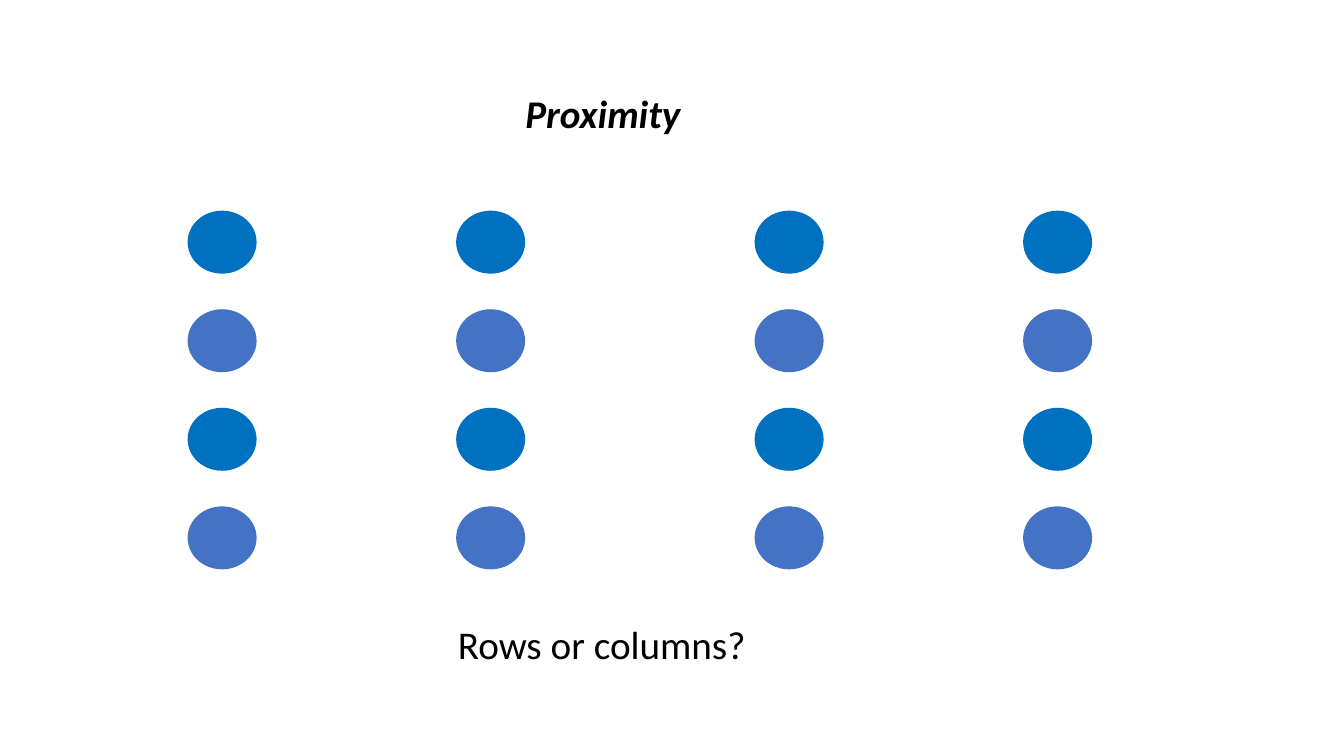
import pptx
import pptx.util
import pptx.dml.color
import pptx.enum.shapes
import pptx.enum.text

Pt = pptx.util.Pt


def colour(hex_text):
    return pptx.dml.color.RGBColor.from_string(hex_text)


def write_text(box, text, *, font, size, ink, bold=False, italic=False):
    frame = box.text_frame
    frame.word_wrap = False
    frame.auto_size = pptx.enum.text.MSO_AUTO_SIZE.SHAPE_TO_FIT_TEXT
    frame.vertical_anchor = pptx.enum.text.MSO_ANCHOR.TOP
    para = frame.paragraphs[0]
    para.alignment = pptx.enum.text.PP_ALIGN.LEFT
    span = para.add_run()
    span.text = text
    span.font.name = font
    span.font.size = Pt(size)
    span.font.bold = bold
    span.font.italic = italic
    span.font.color.rgb = colour(ink)


class ProximityPage:
    font = "Calibri"
    text_size = 28
    ink = "000000"
    row_fills = ("0070C0", "4472C4")

    def __init__(self, page):
        self.page = page

    def title(self, text, left, top, width, height):
        box = self.page.shapes.title
        box.left, box.top = Pt(left), Pt(top)
        box.width, box.height = Pt(width), Pt(height)
        write_text(box, text, font=self.font, size=self.text_size,
                   ink=self.ink, bold=True, italic=True)

    def caption(self, text, left, top, width, height):
        box = self.page.shapes.add_textbox(
            Pt(left), Pt(top), Pt(width), Pt(height))
        write_text(box, text, font=self.font, size=self.text_size, ink=self.ink)

    def dot(self, left, top, width, height, fill):
        dot = self.page.shapes.add_shape(
            pptx.enum.shapes.MSO_SHAPE.OVAL,
            Pt(left), Pt(top), Pt(width), Pt(height))
        dot.shadow.inherit = False
        dot.fill.solid()
        dot.fill.fore_color.rgb = colour(fill)
        dot.line.fill.background()

    def dot_grid(self, left, top, pair_step, column_step, row_step, rows=4):
        for pair in range(2):
            for column in range(2):
                for row in range(rows):
                    self.dot(left + pair * pair_step + column * column_step,
                             top + row * row_step, 49.3, 45,
                             self.row_fills[row % len(self.row_fills)])


def main():
    deck = pptx.Presentation()
    deck.slide_width, deck.slide_height = Pt(960), Pt(540)
    page = ProximityPage(deck.slides.add_slide(deck.slide_layouts[5]))
    page.title("Proximity", 368, 60, 126.5, 41.2)
    page.dot_grid(left=134, top=150.5, pair_step=405, column_step=191.8,
                  row_step=70.4)
    page.caption("Rows or columns?", 320, 439.2, 222.5, 41.2)
    deck.save("out.pptx")


if __name__ == "__main__":
    main()
